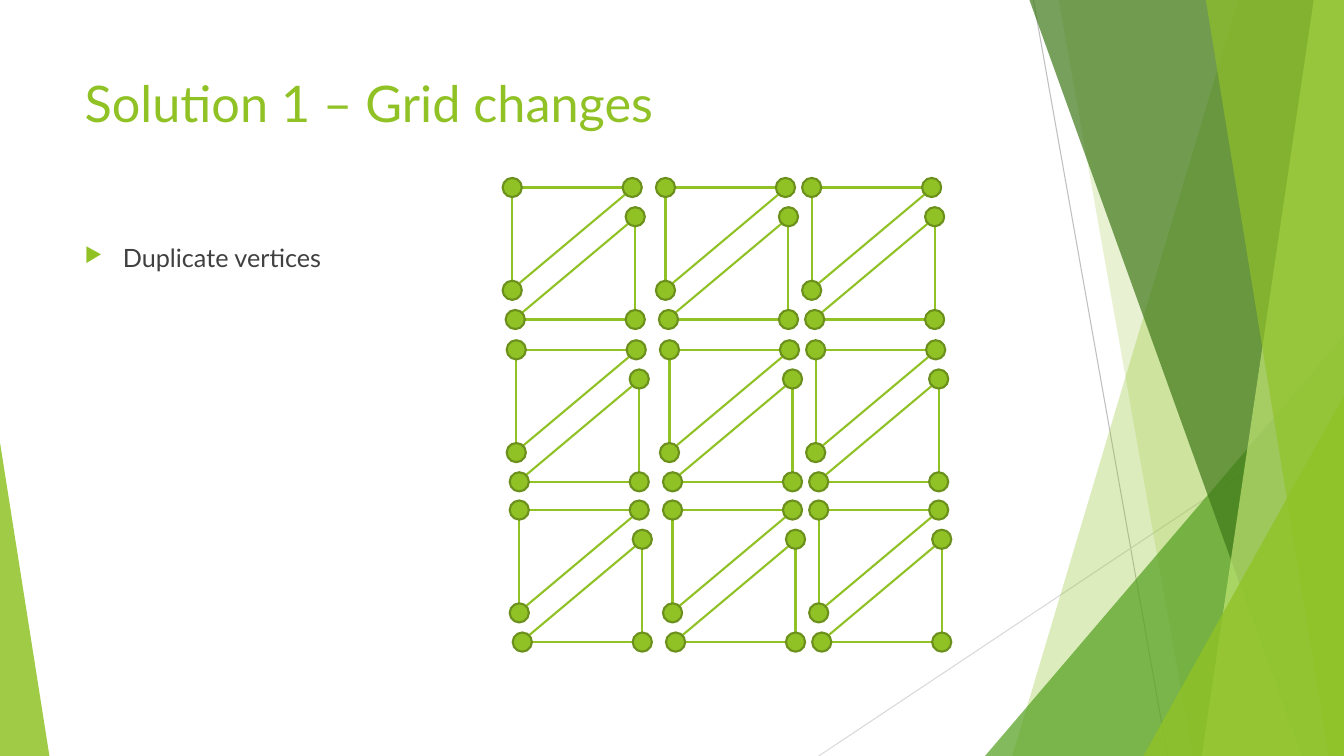
from itertools import product
from lxml.etree import SubElement as Sub
from pptx import Presentation
from pptx.dml.color import RGBColor as RGB
from pptx.enum.shapes import MSO_CONNECTOR as LINK, MSO_SHAPE as SHAPE
from pptx.enum.text import MSO_ANCHOR as ANCHOR, MSO_AUTO_SIZE as AUTO, PP_ALIGN as ALIGN
from pptx.oxml.ns import qn
from pptx.util import Inches, Pt

HUES = dict(lime="90C226", green="54A021", dark="3F7819", pale="C0E474",
            edge="6B901C", text="404040", gray="BFBFBF", mist="D9D9D9")
DOT = 0.19
SLANT = DOT / 2 * 0.5 ** 0.5


def write(shape, text, size=18, hue="text", bullet=None, before=0):
    """Put left-aligned text, with an optional bullet, into a shape."""
    frame = shape.text_frame
    frame.word_wrap = True
    frame.auto_size = AUTO.NONE
    frame.vertical_anchor = ANCHOR.TOP
    para = frame.paragraphs[0]
    para.alignment = ALIGN.LEFT
    para.space_before = Pt(before)
    run = para.add_run()
    run.text = text
    run.font.name = "Lato"
    run.font.size = Pt(size)
    run.font.color.rgb = RGB.from_string(HUES[hue])
    if bullet:
        props = para._p.get_or_add_pPr()
        props.set("marL", str(Inches(0.38)))
        props.set("indent", str(Inches(-0.38)))
        Sub(Sub(props, qn("a:buClr")), qn("a:srgbClr"), val=HUES["lime"])
        Sub(props, qn("a:buSzPct"), val="80000")
        Sub(props, qn("a:buChar"), char=bullet)


class Deck:
    """Hold the style and the current slide."""

    def __init__(self):
        """Start a deck with one title-only slide."""
        self.show = Presentation()
        self.show.slide_width = Inches(13.33)
        self.show.slide_height = Inches(7.5)
        self.slide = self.show.slides.add_slide(self.show.slide_layouts[5])
        self.shapes = self.slide.shapes

    def title(self, box, text):
        """Place and fill the title."""
        head = self.shapes.title
        head.left, head.top, head.width, head.height = map(Inches, box)
        write(head, text, size=36, hue="lime")

    def note(self, box, text, **style):
        """Add a text box."""
        write(self.shapes.add_textbox(*map(Inches, box)), text, **style)

    def paint(self, shape, hue, alpha=100, edge=None):
        """Set fill, opacity and outline of a shape."""
        shape.shadow.inherit = False
        shape.fill.solid()
        shape.fill.fore_color.rgb = RGB.from_string(HUES[hue])
        if alpha < 100:
            tone = shape._element.spPr.find(qn("a:solidFill"))[0]
            Sub(tone, qn("a:alpha"), val=str(alpha * 1000))
        if edge:
            shape.line.color.rgb = RGB.from_string(HUES[edge])
            shape.line.width = Pt(1.5)
        else:
            shape.line.fill.background()

    def band(self, points, hue, alpha):
        """Add a see-through polygon."""
        spots = [(Inches(x), Inches(y)) for x, y in points]
        pen = self.shapes.build_freeform(*spots[0])
        pen.add_line_segments(spots[1:], close=True)
        self.paint(pen.convert_to_shape(), hue, alpha)

    def wedge(self, box, peak, hue, alpha):
        """Add a see-through triangle."""
        shape = self.shapes.add_shape(SHAPE.ISOSCELES_TRIANGLE, *map(Inches, box))
        shape.adjustments[0] = peak
        self.paint(shape, hue, alpha)

    def line(self, start, end, hue="lime", width=1.5):
        """Add a straight line."""
        link = self.shapes.add_connector(LINK.STRAIGHT, *map(Inches, (*start, *end)))
        link.line.color.rgb = RGB.from_string(HUES[hue])
        link.line.width = Pt(width)
        Sub(link._element.spPr, qn("a:effectLst"))

    def dot(self, x, y):
        """Add a vertex centred on a point."""
        box = x - DOT / 2, y - DOT / 2, DOT, DOT
        shape = self.shapes.add_shape(SHAPE.OVAL, *map(Inches, box))
        self.paint(shape, "lime", edge="edge")

    def mesh(self, corner, across, down, slope):
        """Add a triangle: a right-angle corner, two legs and a long side."""
        x, y = corner
        side = DOT / 2 if across > x else -DOT / 2
        drop = DOT / 2 if down > y else -DOT / 2
        self.line((x + side, y), (across - side, y))
        self.line((x, y + drop), (x, down - drop))
        (right, top), (left, base) = slope
        self.line((right - SLANT, top + SLANT), (left + SLANT, base - SLANT))
        for spot in (corner, (across, y), (x, down)):
            self.dot(*spot)


deck = Deck()
deck.line((10.25, 0), (11.58, 7.5), "gray", 0.75)
deck.line((13.33, 4.03), (8.12, 7.5), "mist", 0.75)


def strip(top, foot, hue, alpha):
    """Add a band from its left edge to the right side of the slide."""
    deck.band([(top, 0), (13.33, 0), (13.33, 7.5), (foot, 7.5)], hue, alpha)


strip(12.28, 10.04, "lime", 30)
strip(10.5, 11.83, "lime", 20)
deck.wedge((9.77, 3.33, 3.56, 4.17), 1, "green", 72)
strip(10.21, 12.91, "dark", 70)
strip(13.03, 11.92, "pale", 70)
strip(11.96, 13.18, "lime", 65)
deck.wedge((11.34, 3.93, 1.99, 3.57), 1, "lime", 80)
deck.wedge((0, 4.39, 0.49, 3.11), 0, "lime", 85)

deck.title((0.74, 0.67, 9.4, 1.44), "Solution 1 – Grid changes")
deck.note((0.74, 2.36, 4.12, 4.24), "Duplicate vertices", bullet="▶", before=10)

ROWS = [(0, 1.86), (0.04, 3.47), (0.07, 5.06)]
COLS = [5.08, 6.6, 8.05]
WIDE, HIGH = 1.19, 1.02
for (shift, y), col in product(ROWS, COLS):
    x = col + shift
    right, base = x + WIDE, y + HIGH
    deck.mesh((x, y), right, base, ((right, y), (x, base)))
    left, top = x + 0.03, y + 0.29
    right, base = left + WIDE, top + HIGH
    deck.mesh((right, base), left, top, ((right, top), (left, base)))

deck.show.save("out.pptx")
